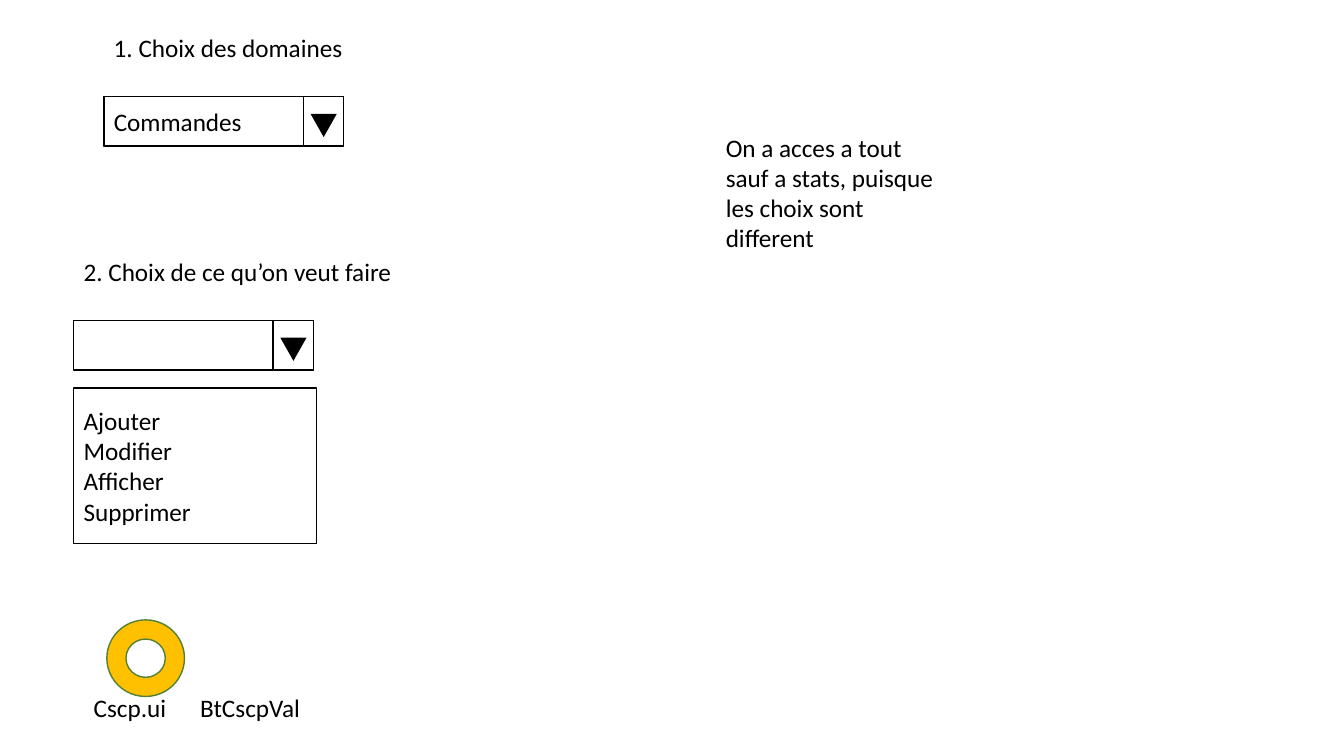
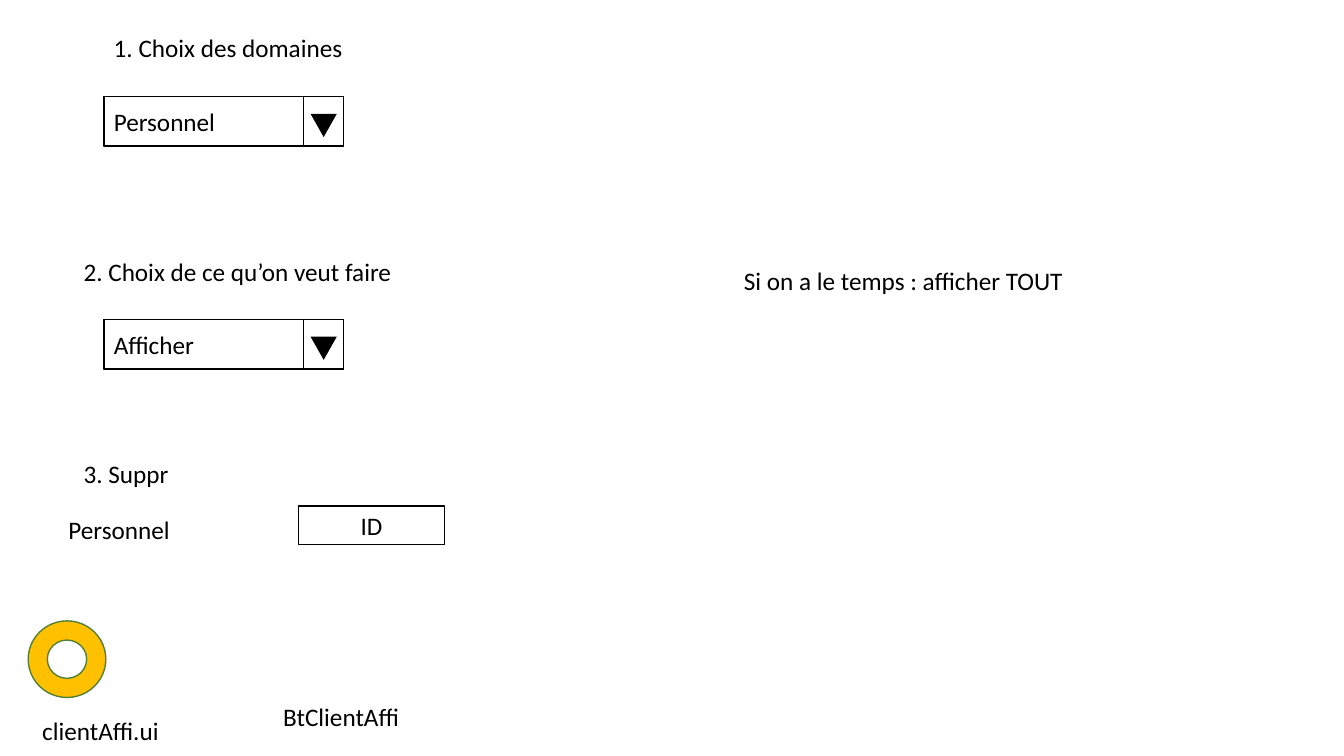
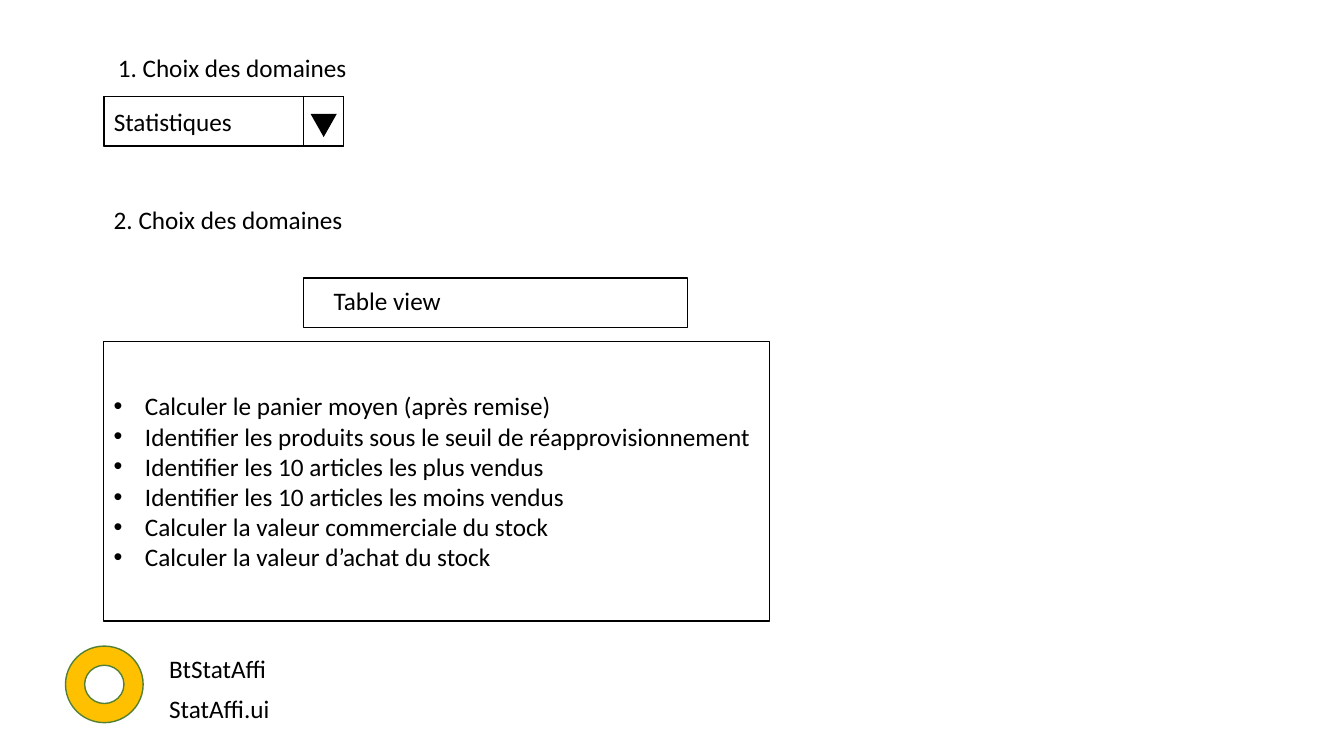
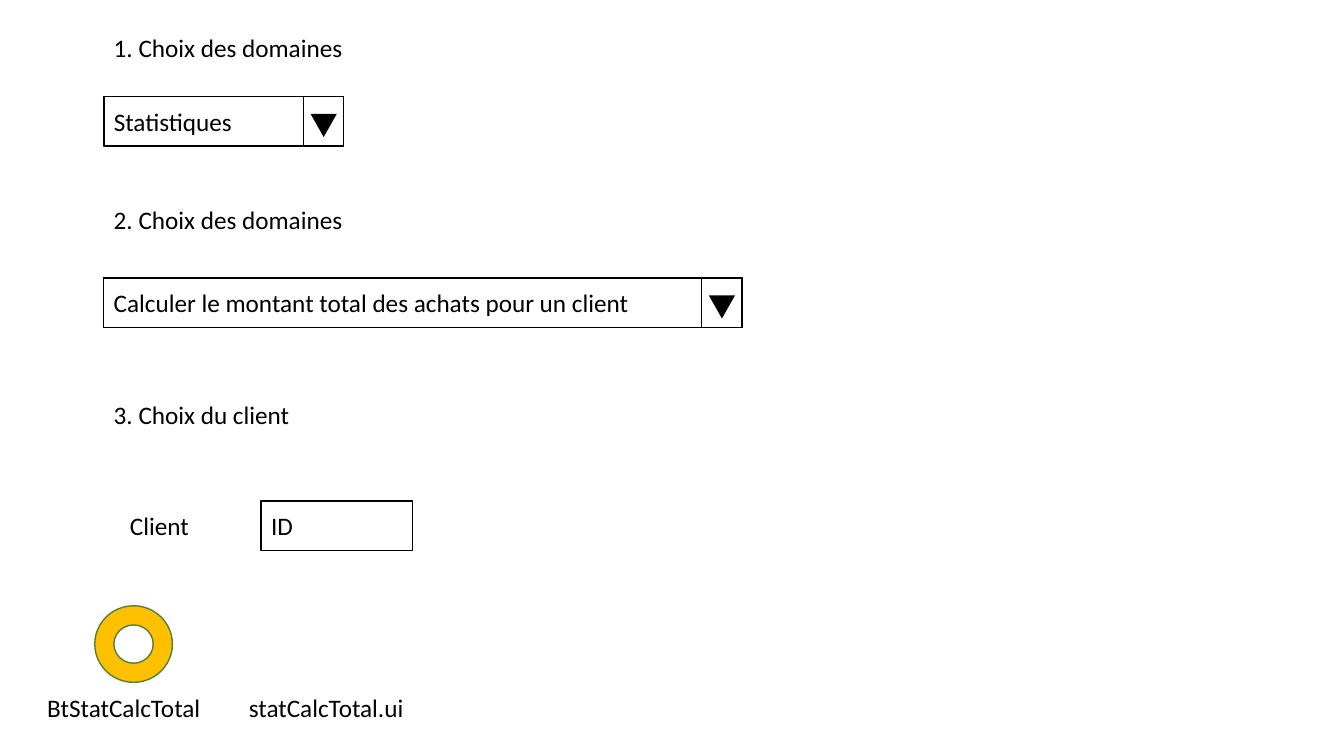
from dataclasses import dataclass

from lxml.etree import SubElement
from pptx import Presentation
from pptx.dml.color import RGBColor
from pptx.enum.shapes import MSO_SHAPE as Preset
from pptx.enum.text import MSO_ANCHOR as Anchor, MSO_AUTO_SIZE as AutoSize, PP_ALIGN as Align
from pptx.oxml.ns import qn
from pptx.util import Inches, Pt


@dataclass(frozen=True)
class Theme:
    ink: RGBColor = RGBColor(0, 0, 0)
    ring: RGBColor = RGBColor(0xFF, 0xC0, 0x00)
    ring_edge: RGBColor = RGBColor(0x53, 0x80, 0x35)
    font: str = "Calibri"
    bullet_font: str = "Arial"
    size: int = 18
    line: int = 1
    indent: float = 0.31
    row: float = 0.49
    label: float = 0.4
    button: float = 0.4
    arrow: tuple = (0.26, 0.23)
    donut: tuple = (0.77, 0.76)
    left: float = 1.03
    menu: float = 2.38


class Mockup:
    def __init__(self, theme):
        self.theme = theme
        self.deck = Presentation()
        self.deck.slide_width = Inches(13.33)
        self.deck.slide_height = Inches(7.5)
        self.page = None

    def new_page(self):
        self.page = self.deck.slides.add_slide(self.deck.slide_layouts[6])

    def fill_text(self, frame, text, align=Align.LEFT, bullets=False):
        frame.text = text
        for para in frame.paragraphs:
            para.alignment = align
            if bullets:
                self.bullet(para)
            for span in para.runs:
                span.font.name = self.theme.font
                span.font.size = Pt(self.theme.size)
                span.font.color.rgb = self.theme.ink

    def bullet(self, para):
        props = para._p.get_or_add_pPr()
        indent = Inches(self.theme.indent)
        props.set("marL", str(indent))
        props.set("indent", str(-indent))
        SubElement(props, qn("a:buFont"), typeface=self.theme.bullet_font)
        SubElement(props, qn("a:buChar"), char="•")

    def shape(self, preset, x, y, width, height, fill=None, line=None):
        shape = self.page.shapes.add_shape(
            preset, Inches(x), Inches(y), Inches(width), Inches(height))
        shape.shadow.inherit = False
        if fill is None:
            shape.fill.background()
        else:
            shape.fill.solid()
            shape.fill.fore_color.rgb = fill
        if line is None:
            shape.line.fill.background()
        else:
            shape.line.color.rgb = line
            shape.line.width = Pt(self.theme.line)
        return shape

    def box(self, x, y, width, height=None, text=None, **style):
        box = self.shape(Preset.RECTANGLE, x, y, width,
                         height or self.theme.row, line=self.theme.ink)
        if text:
            box.text_frame.vertical_anchor = Anchor.MIDDLE
            self.fill_text(box.text_frame, text, **style)

    def label(self, x, y, width, text, height=None, wrap=False, anchor=Anchor.TOP):
        label = self.page.shapes.add_textbox(
            Inches(x), Inches(y), Inches(width), Inches(height or self.theme.label))
        frame = label.text_frame
        frame.word_wrap = wrap
        frame.vertical_anchor = anchor
        frame.auto_size = AutoSize.SHAPE_TO_FIT_TEXT if anchor == Anchor.TOP else AutoSize.NONE
        self.fill_text(frame, text)

    def dropdown(self, x, y, width, choice=None):
        theme = self.theme
        button_x = x + width - theme.button
        arrow_width, arrow_height = theme.arrow
        self.box(x, y, width)
        self.box(button_x, y, theme.button)
        arrow = self.shape(
            Preset.ISOSCELES_TRIANGLE, button_x + (theme.button - arrow_width) / 2,
            y + 0.17, arrow_width, arrow_height, fill=theme.ink)
        arrow.rotation = 180
        if choice:
            self.box(x, y, width - theme.button, text=choice)

    def donut(self, x, y):
        self.shape(Preset.DONUT, x, y, *self.theme.donut,
                   fill=self.theme.ring, line=self.theme.ring_edge)

    def domain_page(self, domain, x=1.03, y=0.27):
        self.new_page()
        self.dropdown(self.theme.left, 0.96, self.theme.menu, domain)
        self.label(x, y, 2.5, "1. Choix des domaines")

    def action_step(self, x, y, action=None):
        self.dropdown(x, y, self.theme.menu, action)
        self.label(0.73, 2.49, 3.31, "2. Choix de ce qu’on veut faire")

    def second_domain_step(self):
        self.label(self.theme.left, 1.98, 2.5, "2. Choix des domaines")


def orders_page(mockup):
    mockup.domain_page("Commandes")
    mockup.action_step(0.73, 3.18)
    actions = ["Ajouter", "Modifier", "Afficher", "Supprimer"]
    mockup.box(0.73, 3.85, 2.41, 1.54, "\n".join(actions))
    mockup.label(0.83, 6.82, 2.38, "Cscp.ui \t BtCscpVal", wrap=True)
    mockup.label(7.1, 1.26, 2.38,
                 "On a acces a tout sauf a stats, puisque les choix sont different",
                 height=1.3, wrap=True)
    mockup.donut(1.06, 6.15)


def staff_page(mockup):
    mockup.domain_page("Personnel")
    mockup.action_step(mockup.theme.left, 3.17, "Afficher")
    mockup.box(2.96, 5.02, 1.45, 0.38, "ID", align=Align.CENTER)
    mockup.label(0.73, 4.5, 1.05, "3. Suppr")
    mockup.label(0.58, 5.05, 2.38, "Personnel", wrap=True)
    mockup.label(7.28, 2.58, 3.41, "Si on a le temps : afficher TOUT")
    mockup.label(2.71, 6.91, 2.12, "BtClientAffi", wrap=True)
    mockup.donut(0.28, 6.16)
    mockup.label(0.32, 7.05, 1.64, "clientAffi.ui", wrap=True)


def statistics_page(mockup):
    mockup.domain_page("Statistiques", 1.07, 0.47)
    mockup.second_domain_step()
    mockup.box(3.01, 2.76, 3.81)
    statistics = [
        "Calculer le panier moyen (après remise)",
        "Identifier les produits sous le seuil de réapprovisionnement",
        "Identifier les 10 articles les plus vendus",
        "Identifier les 10 articles les moins vendus",
        "Calculer la valeur commerciale du stock",
        "Calculer la valeur d’achat du stock",
    ]
    mockup.box(mockup.theme.left, 3.39, 6.6, 2.77, "\n".join(statistics), bullets=True)
    mockup.label(3.21, 2.78, 1.28, "Table view")
    mockup.label(1.58, 6.43, 1.55, "BtStatAffi", wrap=True)
    mockup.label(1.58, 6.83, 1.63, "StatAffi.ui", wrap=True)
    mockup.donut(0.65, 6.41)


def client_total_page(mockup):
    left, row = mockup.theme.left, mockup.theme.row
    mockup.domain_page("Statistiques")
    mockup.second_domain_step()
    mockup.dropdown(left, 2.76, 6.33, "Calculer le montant total des achats pour un client")
    mockup.label(left, 3.91, 1.96, "3. Choix du client")
    mockup.label(1.19, 4.97, 1.03, "Client", height=row, wrap=True, anchor=Anchor.MIDDLE)
    mockup.box(2.59, 4.97, 1.5, text="ID")
    mockup.label(0.37, 6.82, 6.67, "BtStatCalcTotal\tstatCalcTotal.ui", wrap=True)
    mockup.donut(0.94, 6.01)


mockup = Mockup(Theme())
for build in (orders_page, staff_page, statistics_page, client_total_page):
    build(mockup)
mockup.deck.save("out.pptx")
